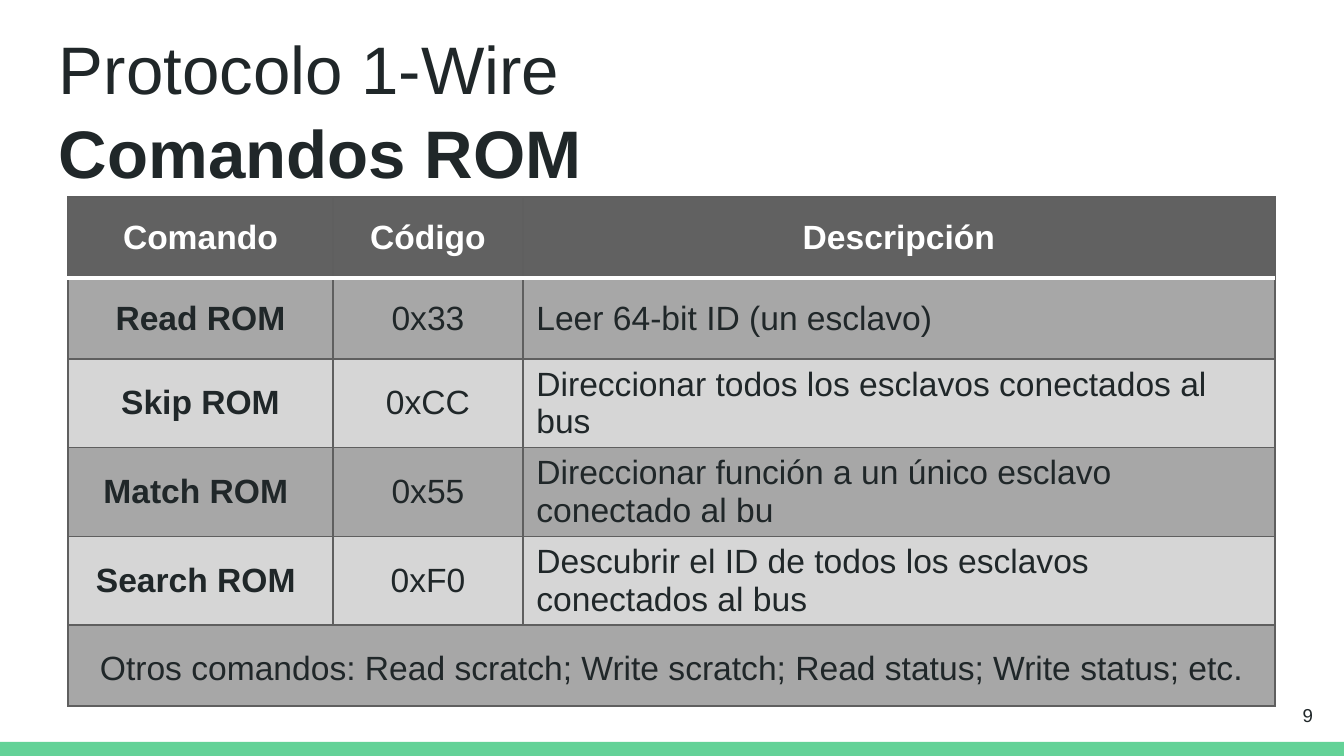
from lxml import etree
from pptx import Presentation
from pptx.dml.color import RGBColor
from pptx.enum.shapes import MSO_SHAPE
from pptx.enum.text import MSO_ANCHOR, MSO_AUTO_SIZE, PP_ALIGN
from pptx.oxml.ns import qn
from pptx.util import Emu, Pt

RECT = MSO_SHAPE.RECTANGLE
TOP, MID = MSO_ANCHOR.TOP, MSO_ANCHOR.MIDDLE
LEFT, MIDDLE, RIGHT = PP_ALIGN.LEFT, PP_ALIGN.CENTER, PP_ALIGN.RIGHT
FIXED = MSO_AUTO_SIZE.NONE

TITLE = ("Protocolo 1-Wire", "Comandos ROM")
NUMBER = "9"
HEAD = ("Comando", "Código", "Descripción")
ROWS = [
    ("Read ROM", "0x33", "Leer 64-bit ID (un esclavo)"),
    ("Skip ROM", "0xCC", "Direccionar todos los esclavos conectados al bus"),
    ("Match ROM ", "0x55", "Direccionar función a un único esclavo conectado al bu"),
    ("Search ROM ", "0xF0", "Descubrir el ID de todos los esclavos conectados al bus"),
]
NOTE = "Otros comandos: Read scratch; Write scratch; Read status; Write status; etc."

THEME = {
    "font": "Arial", "ink": "202729", "white": "FFFFFF", "green": "63D297",
    "head": "616161", "dark": "A7A7A7", "light": "D6D6D6", "line": "5F5F5F",
    "title": 36, "cell": 18, "number": 10, "thin": 0.75, "thick": 2,
}
WIDE, HIGH = 1344, 756
COLS = (265, 190, 752)
ROW = 81
PAD = 13


def px(n):
    return Emu(round(n * 914400 / 134.4))


def place(shape, *box):
    for name, n in zip(("left", "top", "width", "height"), box):
        setattr(shape, name, px(n))


def rgb(name):
    return RGBColor.from_string(THEME[name])


def style(run, size, ink="ink", bold=False):
    look = {"name": THEME["font"], "size": Pt(THEME[size]), "bold": bold}
    for name, value in look.items():
        setattr(run.font, name, value)
    run.font.color.rgb = rgb(ink)


def frame(shape, anchor):
    text = shape.text_frame
    look = {"word_wrap": True, "auto_size": FIXED, "vertical_anchor": anchor}
    for side in ("left", "top", "right", "bottom"):
        look["margin_" + side] = px(PAD)
    for name, value in look.items():
        setattr(text, name, value)
    return text.paragraphs[0]


def edge(cell, side, ink, width):
    props = cell._tc.get_or_add_tcPr()
    line = etree.SubElement(props, qn("a:ln" + side), w=str(Pt(width)))
    fill = etree.SubElement(line, qn("a:solidFill"))
    etree.SubElement(fill, qn("a:srgbClr"), val=THEME[ink])


def paint(cell, row, fill):
    for side in "LRTB":
        rule = (row, side) in ((0, "B"), (1, "T"))
        edge(cell, side, *(("white", THEME["thick"]) if rule else ("line", THEME["thin"])))
    cell.fill.solid()
    cell.fill.fore_color.rgb = rgb(fill)
    cell.vertical_anchor = MID


def write(cell, text, align, ink, bold):
    para = cell.text_frame.paragraphs[0]
    para.alignment = align
    run = para.add_run()
    run.text = text
    style(run, "cell", ink, bold)


def main():
    deck = Presentation()
    deck.slide_width, deck.slide_height = px(WIDE), px(HIGH)
    slide = deck.slides.add_slide(deck.slide_layouts[5])

    bar = slide.shapes.add_shape(RECT, 0, px(742), px(WIDE), px(14))
    bar.shadow.inherit = False
    bar.fill.solid()
    bar.fill.fore_color.rgb = rgb("green")
    bar.line.fill.background()

    title = slide.shapes.title
    place(title, 46, 11, 1253, 161)
    para = frame(title, TOP)
    para.alignment, para.line_spacing = LEFT, 1.04
    for i, text in enumerate(TITLE):
        if i:
            para.add_line_break()
        run = para.add_run()
        run.text = text
        style(run, "title", bold=i == 1)

    box = slide.shapes.add_textbox(px(1246), px(686), px(80), px(58))
    para = frame(box, MID)
    para.alignment = RIGHT
    run = para.add_run()
    run.text = NUMBER
    style(run, "number")

    lines = [HEAD, *ROWS, (NOTE, "", "")]
    last = len(lines) - 1
    grid = slide.shapes.add_table(
        len(lines), len(COLS), px(68), px(197), px(sum(COLS)), px(ROW * len(lines))
    ).table
    for col, width in zip(grid.columns, COLS):
        col.width = px(width)
    for r, line in enumerate(lines):
        grid.rows[r].height = px(ROW)
        fill = "head" if r == 0 else "dark" if r % 2 else "light"
        for c, text in enumerate(line):
            cell = grid.cell(r, c)
            paint(cell, r, fill)
            if text:
                align = LEFT if r == last or (r and c == 2) else MIDDLE
                bold = r == 0 or (c == 0 and r < last)
                write(cell, text, align, "ink" if r else "white", bold)
    foot = grid.cell(last, 0)
    foot.merge(grid.cell(last, len(COLS) - 1))
    foot.margin_left, foot.margin_top = px(32), px(14)

    deck.save("out.pptx")


if __name__ == "__main__":
    main()
